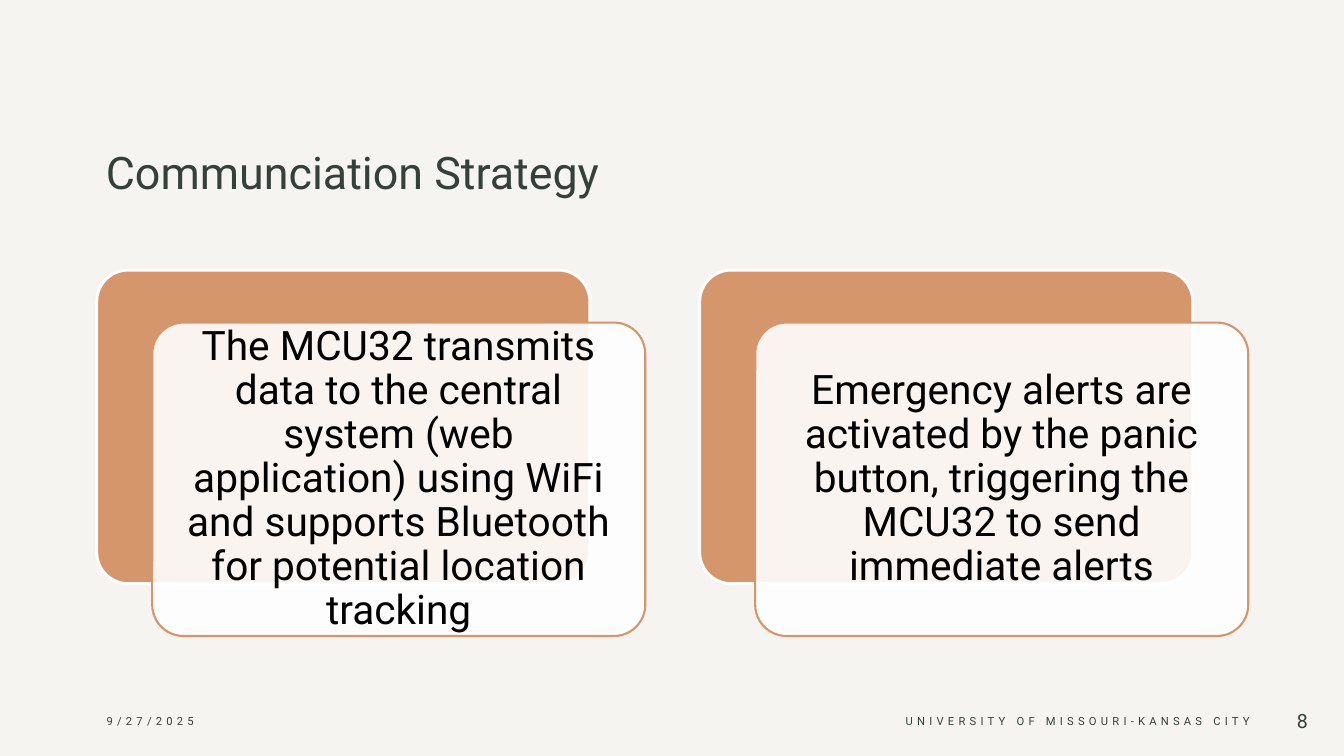
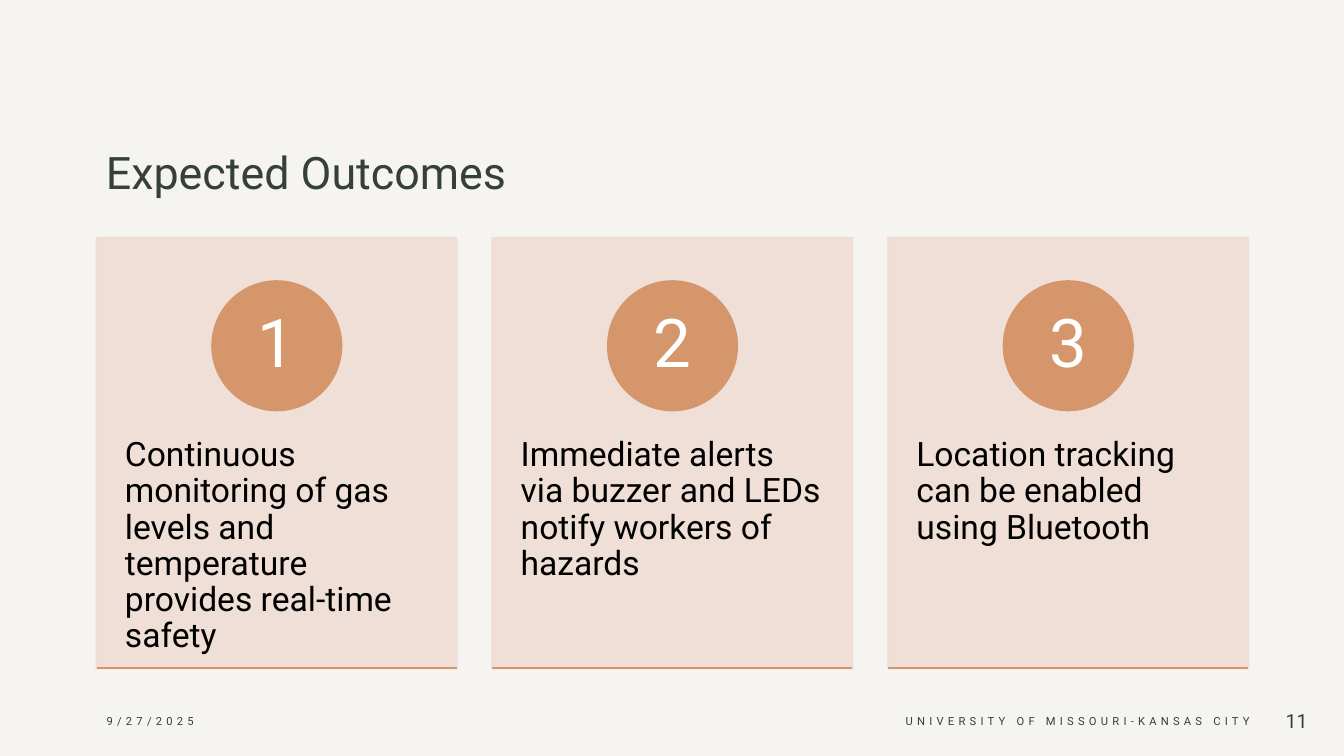
"""Build the communication strategy and expected outcomes slides."""
from lxml import etree
from pptx import Presentation
from pptx.dml.color import RGBColor
from pptx.enum.shapes import MSO_CONNECTOR, MSO_SHAPE
from pptx.enum.text import MSO_ANCHOR, MSO_AUTO_SIZE, PP_ALIGN
from pptx.oxml.ns import qn
from pptx.util import Inches, Pt

COLORS = {
    "background": "F5F4F1",
    "ink": "35403A",
    "accent": "D5966B",
    "card": "EFDDD4",
    "white": "FFFFFF",
    "black": "000000",
}
FONT = "Roboto"
DATE = "9/27/2025"
FOOTER = "UNIVERSITY OF MISSOURI-KANSAS CITY"

STRATEGY = {
    "title": "Communciation Strategy",
    "number": 8,
    "items": [
        "The MCU32 transmits data to the central system (web application) "
        "using WiFi and supports Bluetooth for potential location tracking",
        "Emergency alerts are activated by the panic button, triggering "
        "the MCU32 to send immediate alerts",
    ],
}
OUTCOMES = {
    "title": "Expected Outcomes",
    "number": 11,
    "items": [
        "Continuous monitoring of gas levels and temperature provides real-time safety",
        "Immediate alerts via buzzer and LEDs notify workers of hazards",
        "Location tracking can be enabled using Bluetooth",
    ],
}

LEFT, RIGHT = 0.96, 12.38
PANEL_W, PANEL_H, PANEL_TOP = 4.89, 3.11, 2.68
PANEL_DX, PANEL_DY = 0.55, 0.52
CARD_W, CARD_H, CARD_TOP = 3.57, 4.27, 2.36
CIRCLE, CIRCLE_TOP = 1.28, 2.79


def rgb(name):
    return RGBColor.from_string(COLORS[name])


def set_alpha(fill, percent):
    color = fill._xPr.find(qn("a:solidFill"))[0]
    etree.SubElement(color, qn("a:alpha"), val=str(percent * 1000))


def spread(count, width):
    """Return the left edges of equally spaced items between the margins."""
    step = (RIGHT - LEFT - width) / (count - 1)
    return [LEFT + i * step for i in range(count)]


def write(sp, text, size, color, align=PP_ALIGN.LEFT, anchor=MSO_ANCHOR.MIDDLE,
          insets=(0.1, 0.05, 0.1, 0.05), line=None, after=None, tracking=None):
    tf = sp.text_frame
    tf.text = text
    tf.word_wrap = True
    tf.auto_size = MSO_AUTO_SIZE.NONE
    tf.vertical_anchor = anchor
    tf.margin_left, tf.margin_top, tf.margin_right, tf.margin_bottom = map(Inches, insets)
    p = tf.paragraphs[0]
    p.alignment = align
    if line:
        p.line_spacing = line
    if after:
        p.space_after = Pt(after)
    r = p.runs[0]
    r.font.size, r.font.name = Pt(size), FONT
    r.font.color.rgb = rgb(color)
    if tracking:
        r.font._element.set("spc", str(tracking * 100))


def add_box(s, kind, box, fill, line, width=1.5, alpha=None):
    sp = s.shapes.add_shape(kind, *map(Inches, box))
    sp.shadow.inherit = False
    sp.fill.solid()
    sp.fill.fore_color.rgb = rgb(fill)
    sp.line.color.rgb = rgb(line)
    sp.line.width = Pt(width)
    if alpha:
        set_alpha(sp.fill, alpha)
    if kind == MSO_SHAPE.ROUNDED_RECTANGLE:
        sp.adjustments[0] = 0.1
    return sp


def add_rule(s, x, y, width):
    rule = s.shapes.add_connector(MSO_CONNECTOR.STRAIGHT, Inches(x), Inches(y),
                                  Inches(x + width), Inches(y))
    rule.line.color.rgb = rgb("accent")
    rule.line.width = Pt(1.5)
    etree.SubElement(rule._element.spPr, qn("a:effectLst"))


def add_slide(prs, title, number):
    s = prs.slides.add_slide(prs.slide_layouts[5])
    heading = s.shapes.title
    heading.left, heading.top, heading.width, heading.height = map(
        Inches, (0.95, 0.64, 11.43, 1.38))
    write(heading, title, 32, "ink", anchor=MSO_ANCHOR.BOTTOM)
    footers = [
        (DATE, LEFT, 3, PP_ALIGN.LEFT, 8, 3),
        (FOOTER, 7.8, 4.7, PP_ALIGN.RIGHT, 8, 3),
        (str(number), 12.5, 0.57, PP_ALIGN.RIGHT, 14, None),
    ]
    for text, x, width, align, size, tracking in footers:
        box = s.shapes.add_textbox(*map(Inches, (x, 6.95, width, 0.4)))
        write(box, text, size, "ink", align, after=6, tracking=tracking)
    return s


def build_strategy(prs):
    s = add_slide(prs, STRATEGY["title"], STRATEGY["number"])
    items = STRATEGY["items"]
    for x, text in zip(spread(len(items), PANEL_W + PANEL_DX), items):
        add_box(s, MSO_SHAPE.ROUNDED_RECTANGLE, (x, PANEL_TOP, PANEL_W, PANEL_H),
                "accent", "white", 2)
        panel = add_box(s, MSO_SHAPE.ROUNDED_RECTANGLE,
                        (x + PANEL_DX, PANEL_TOP + PANEL_DY, PANEL_W, PANEL_H),
                        "white", "accent", alpha=90)
        write(panel, text, 29, "black", PP_ALIGN.CENTER,
              insets=(0.12, 0, 0.12, 0), line=0.9)


def build_outcomes(prs):
    s = add_slide(prs, OUTCOMES["title"], OUTCOMES["number"])
    items = OUTCOMES["items"]
    for i, (x, text) in enumerate(zip(spread(len(items), CARD_W), items), 1):
        card = add_box(s, MSO_SHAPE.RECTANGLE, (x, CARD_TOP, CARD_W, CARD_H),
                       "card", "card", alpha=90)
        set_alpha(card.line.fill, 90)
        write(card, text, 24, "black", anchor=MSO_ANCHOR.TOP,
              insets=(0.28, 1.98, 0.28, 0.1), line=0.9)
        circle = add_box(s, MSO_SHAPE.OVAL,
                         (x + (CARD_W - CIRCLE) / 2, CIRCLE_TOP, CIRCLE, CIRCLE),
                         "accent", "accent")
        write(circle, str(i), 48, "white", PP_ALIGN.CENTER,
              insets=(0.1, 0.01, 0.1, 0.01), line=0.9)
        add_rule(s, x, CARD_TOP + CARD_H, CARD_W)


def main():
    prs = Presentation()
    prs.slide_width, prs.slide_height = Inches(13.33), Inches(7.5)
    background = prs.slide_master.background.fill
    background.solid()
    background.fore_color.rgb = rgb("background")
    build_strategy(prs)
    build_outcomes(prs)
    prs.save("out.pptx")


if __name__ == "__main__":
    main()
